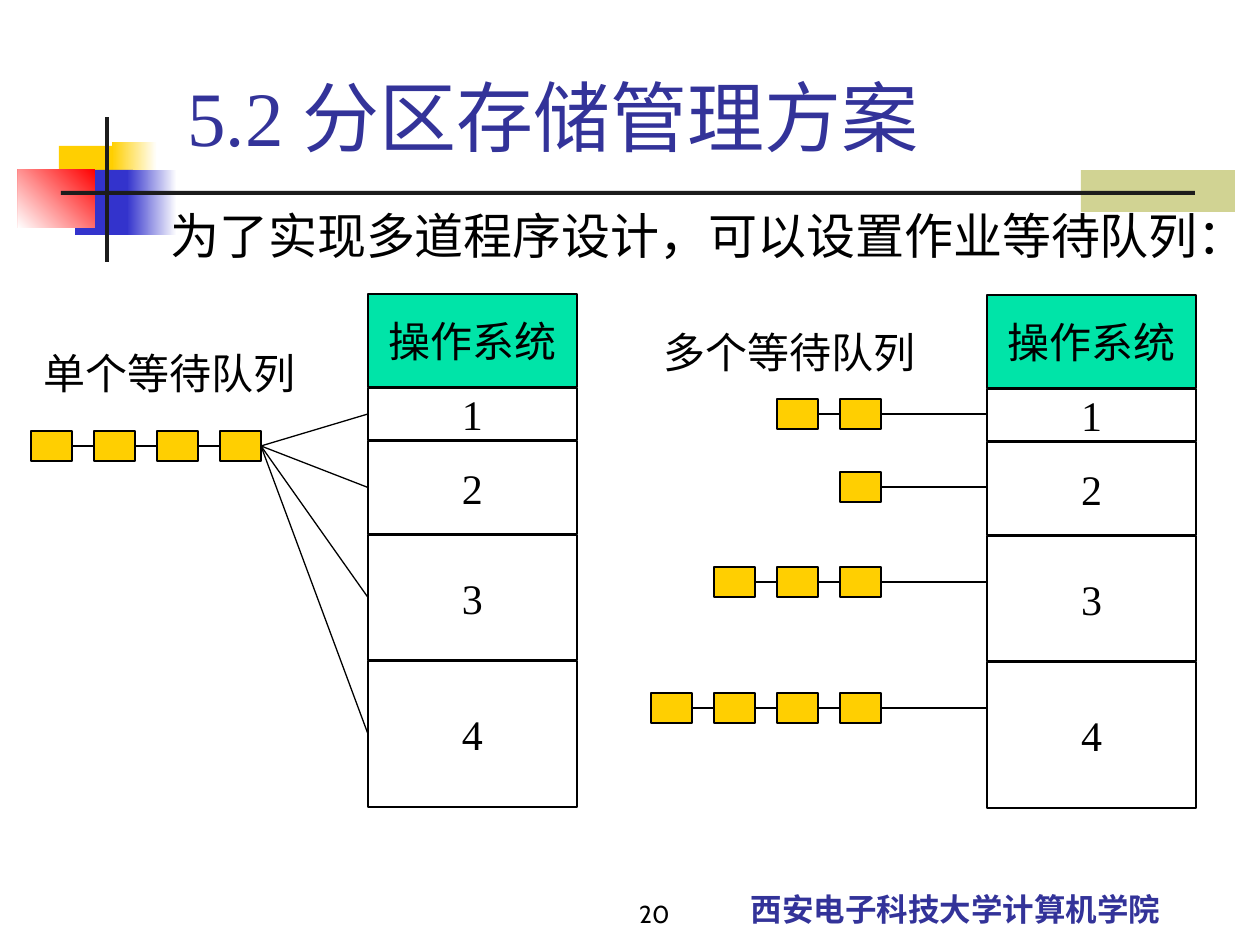
import pptx
import pptx.util
import pptx.dml.color
import pptx.enum.shapes
import pptx.enum.text
import pptx.oxml.ns
from dataclasses import dataclass
from lxml import etree

EMU_PER_PX = 914400 / 126
ALIGN = pptx.enum.text.PP_ALIGN
ANCHOR = pptx.enum.text.MSO_ANCHOR
TOP, LEFT, BOTTOM, RIGHT = range(4)


@dataclass(frozen=True)
class Theme:
    ink: str = "000000"
    bar: str = "1C1C1C"
    heading: str = "333399"
    blue: str = "3333CC"
    yellow: str = "FFCF01"
    red: str = "FF0000"
    olive: str = "D1D393"
    green: str = "00E4A8"
    white: str = "FFFFFF"
    serif: str = "Times New Roman"
    cjk: str = "Noto Sans CJK SC"
    number: str = "Cabin"
    title_size: int = 44
    lead_size: int = 28
    label_size: int = 24
    footer_size: int = 18
    number_size: int = 14
    line_width: float = 0.75


THEME = Theme()


def px(value):
    return pptx.util.Emu(round(value * EMU_PER_PX))


def rgb(value):
    return pptx.dml.color.RGBColor.from_string(value)


def write(frame, text, size, color=THEME.ink, font=THEME.serif, bold=False,
          align=ALIGN.LEFT, anchor=ANCHOR.TOP, wrap=True):
    frame.word_wrap = wrap
    frame.vertical_anchor = anchor
    paragraph = frame.paragraphs[0]
    paragraph.text = text
    paragraph.alignment = align
    run = paragraph.runs[0]
    run.font.size = pptx.util.Pt(size)
    run.font.bold = bold
    run.font.color.rgb = rgb(color)
    run.font.name = font
    east_asian = etree.SubElement(run.font._element, pptx.oxml.ns.qn("a:ea"))
    east_asian.set("typeface", THEME.cjk)
    return paragraph


def add_text(slide, left, top, width, height, text, size, **style):
    box = slide.shapes.add_textbox(px(left), px(top), px(width), px(height))
    return write(box.text_frame, text, size, **style)


def add_block(slide, left, top, width, height, fill, outlined=False):
    block = slide.shapes.add_shape(pptx.enum.shapes.MSO_SHAPE.RECTANGLE,
                                   px(left), px(top), px(width), px(height))
    block.shadow.inherit = False
    block.fill.solid()
    block.fill.fore_color.rgb = rgb(fill)
    if outlined:
        block.line.color.rgb = rgb(THEME.ink)
        block.line.width = pptx.util.Pt(THEME.line_width)
    else:
        block.line.fill.background()
    return block


def fade(block, start, end, angle):
    block.fill.gradient()
    block.fill.gradient_angle = angle
    for stop, color in zip(block.fill.gradient_stops, (start, end)):
        stop.color.rgb = rgb(color)


def join(slide, source, target, level=False):
    """Line from the right side of source to the left side of target."""
    y = source.top + source.height // 2
    line = slide.shapes.add_connector(pptx.enum.shapes.MSO_CONNECTOR.STRAIGHT,
                                      source.left + source.width, y, target.left, y)
    line.begin_connect(source, RIGHT)
    if not level:
        line.end_connect(target, LEFT)
    line.line.color.rgb = rgb(THEME.ink)
    line.line.width = pptx.util.Pt(THEME.line_width)
    etree.SubElement(line._element.spPr, pptx.oxml.ns.qn("a:effectLst"))


def add_decoration(slide, left, top):
    # Overlapping colour squares
    add_block(slide, left + 41, top + 29, 60, 66, THEME.yellow)
    yellow_fade = add_block(slide, left + 94, top + 25, 45, 66, THEME.yellow)
    fade(yellow_fade, THEME.white, THEME.yellow, 180)
    add_block(slide, left + 57, top + 53, 58, 65, THEME.blue)
    blue_fade = add_block(slide, left + 109, top + 53, 50, 65, THEME.blue)
    fade(blue_fade, THEME.white, THEME.blue, 180)
    red_fade = add_block(slide, left, top + 52, 77, 59, THEME.red)
    fade(red_fade, THEME.red, THEME.white, 225)
    # Crossing bars
    add_block(slide, left + 87, top, 4, 145, THEME.bar)
    add_block(slide, left + 43, top + 74, 1134, 4, THEME.bar)


def add_memory(slide, left, top):
    """Operating system area above four partitions; returns the partitions."""
    areas = [("操作系统", 93, THEME.green), ("1", 52, THEME.white),
             ("2", 93, THEME.white), ("3", 125, THEME.white), ("4", 146, THEME.white)]
    blocks = []
    for name, height, fill in areas:
        area = add_block(slide, left, top, 209, height, fill, outlined=True)
        write(area.text_frame, name, THEME.label_size, align=ALIGN.CENTER,
              anchor=ANCHOR.MIDDLE, wrap=False)
        blocks.append(area)
        top += height + 1
    return blocks[1:]


def add_queue(slide, right, top, count):
    """Linked jobs ending at right; returns the job at the head."""
    width, pitch = 41, 63
    first = right - width - (count - 1) * pitch
    jobs = [add_block(slide, first + i * pitch, top, width, 30, THEME.yellow, outlined=True)
            for i in range(count)]
    for job, following in zip(jobs, jobs[1:]):
        join(slide, job, following)
    return jobs[-1]


def add_queue_label(slide, left, top, text):
    label = add_text(slide, left, top, 304, 52, text, THEME.label_size)
    label.line_spacing = 0.9


def add_single_queue(slide, left, top):
    partitions = add_memory(slide, left + 337, top)
    head = add_queue(slide, left + 230, top + 137, 4)
    for partition in partitions:
        join(slide, head, partition)
    add_queue_label(slide, left, top + 53, "单个等待队列")


def add_multiple_queues(slide, left, top):
    partitions = add_memory(slide, left + 336, top)
    queues = [(104, 2), (177, 1), (272, 3), (398, 4)]
    for partition, (offset, count) in zip(partitions, queues):
        head = add_queue(slide, left + 230, top + offset, count)
        join(slide, head, partition, level=True)
    add_queue_label(slide, left, top + 31, "多个等待队列")


def add_footer(slide, left, top):
    add_text(slide, left + 252, top, 567, 73, "西安电子科技大学计算机学院", THEME.footer_size,
             color=THEME.heading, font=THEME.cjk, bold=True,
             align=ALIGN.CENTER, anchor=ANCHOR.BOTTOM)
    add_text(slide, left, top + 11, 262, 63, "20", THEME.number_size,
             font=THEME.number, align=ALIGN.RIGHT, anchor=ANCHOR.BOTTOM)


def main():
    deck = pptx.Presentation()
    deck.slide_width, deck.slide_height = px(1260), px(945)
    slide = deck.slides.add_slide(deck.slide_layouts[6])

    # Background ornaments
    add_block(slide, 1081, 170, 154, 42, THEME.olive)
    add_decoration(slide, 18, 117)
    add_footer(slide, 420, 861)

    # Title and lead sentence
    add_text(slide, 175, 63, 1074, 105, "5.2 分区存储管理方案", THEME.title_size,
             color=THEME.heading, anchor=ANCHOR.BOTTOM)
    add_text(slide, 158, 199, 1071, 179, "为了实现多道程序设计，可以设置作业等待队列：",
             THEME.lead_size)

    # Two ways of queueing
    add_single_queue(slide, 31, 294)
    add_multiple_queues(slide, 651, 295)

    deck.save("out.pptx")


if __name__ == "__main__":
    main()
